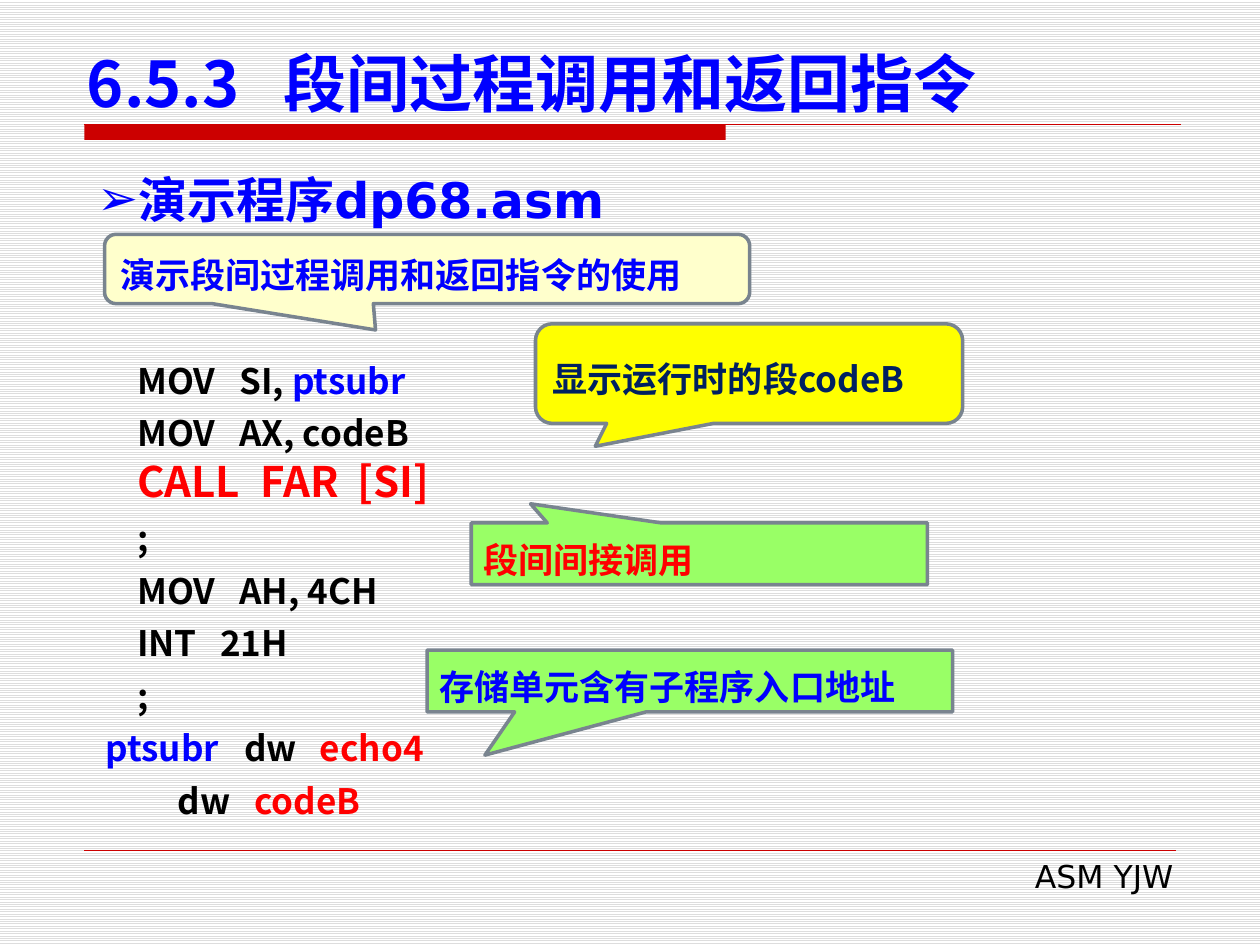
from lxml import etree
from pptx import Presentation
from pptx.dml.color import RGBColor
from pptx.enum.dml import MSO_PATTERN as Pattern
from pptx.enum.shapes import MSO_CONNECTOR as Link, MSO_SHAPE as Shape
from pptx.enum.text import MSO_ANCHOR as Anchor, MSO_AUTO_SIZE as Fit, PP_ALIGN as Align
from pptx.oxml.ns import qn
from pptx.util import Inches, Pt

NOTO, DEJAVU = "Noto Sans CJK SC", "DejaVu Sans"
BLUE, RED, BLACK, NAVY = "0000FF", "FF0000", "000000", "002060"
RULE, EDGE, GREEN = "CC0000", "79848F", "99FF66"


def color(code):
    return RGBColor.from_string(code)


def place(shape, box):
    shape.left, shape.top, shape.width, shape.height = map(Inches, box)


def write(para, text, size=20, font=NOTO, ink=BLACK, bold=True,
          align=Align.LEFT, lead=None):
    """Add one run; lead is the line spacing of its paragraph."""
    run = para.add_run()
    run.text = text
    run.font.size, run.font.name, run.font.bold = Pt(size), font, bold
    run.font.color.rgb = color(ink)
    east = etree.SubElement(run.font._element, qn("a:ea"))
    east.set("typeface", NOTO)
    para.alignment = align
    para.space_before = Pt(0)
    if lead:
        para.line_spacing = lead


def set_tabs(para, stops):
    tabs = etree.SubElement(para._p.get_or_add_pPr(), qn("a:tabLst"))
    for stop in stops:
        tab = etree.SubElement(tabs, qn("a:tab"))
        tab.set("pos", str(Inches(stop)))
        tab.set("algn", "l")


def set_bullet(para, mark, indent):
    props = para._p.get_or_add_pPr()
    props.set("marL", str(Inches(indent)))
    props.set("indent", str(-Inches(indent)))
    etree.SubElement(props, qn("a:buChar")).set("char", mark)


def add_frame(slide, box, anchor=Anchor.TOP):
    frame = slide.shapes.add_textbox(*map(Inches, box)).text_frame
    frame.word_wrap = True
    frame.vertical_anchor = anchor
    return frame


def add_rule(slide, x, y, width, weight):
    line = slide.shapes.add_connector(
        Link.STRAIGHT, Inches(x), Inches(y), Inches(x + width), Inches(y))
    line.line.color.rgb = color(RULE)
    line.line.width = Pt(weight)
    etree.SubElement(line._element.spPr, qn("a:effectLst"))


def add_decor(slide, box):
    """Draw the page pattern, the title bar, the rules and the footer."""
    x, y, width, height = box
    fill = slide.background.fill
    fill.patterned()
    fill.pattern = Pattern.LIGHT_HORIZONTAL
    fill.fore_color.rgb = color("DDDDDD")
    fill.back_color.rgb = color("FFFFFF")
    bar = slide.shapes.add_shape(Shape.RECTANGLE, 0, 0, 0, 0)
    place(bar, (x, y, 5.09, 0.12))
    bar.shadow.inherit = False
    bar.fill.solid()
    bar.fill.fore_color.rgb = color(RULE)
    bar.line.fill.background()
    add_rule(slide, x, y, width, 0.75)
    add_rule(slide, x, y + height, width - 0.04, 0.25)
    foot = add_frame(slide, (x + width - 5.55, y + height, 5.59, 0.4))
    write(foot.paragraphs[0], "ASM YJW", size=18, font=DEJAVU, bold=False,
          align=Align.RIGHT)


def add_title(slide, box):
    title = slide.shapes.title
    place(title, box)
    frame = title.text_frame
    frame.vertical_anchor, frame.auto_size = Anchor.BOTTOM, Fit.NONE
    para = frame.paragraphs[0]
    write(para, "6.5.3\t段间过程调用和返回指令", size=36, ink=BLUE)
    set_tabs(para, [1.56])


def add_topic(slide, box):
    body = slide.placeholders[1]
    place(body, box)
    frame = body.text_frame
    frame.vertical_anchor, frame.auto_size = Anchor.TOP, Fit.NONE
    para = frame.paragraphs[0]
    write(para, "演示程序dp68.asm", size=28, font=DEJAVU, ink=BLUE,
          align=Align.JUSTIFY, lead=1.4)
    set_bullet(para, "➢", 0.33)


def add_code(slide, box, lines):
    """Each line is its tab stops and its runs of (text, format)."""
    frame = add_frame(slide, box)
    for i, (stops, runs) in enumerate(lines):
        para = frame.add_paragraph() if i else frame.paragraphs[0]
        for text, style in runs:
            write(para, text, lead=Pt(30), **style)
        set_tabs(para, stops)


def add_note(slide, box, kind, tip, fill, text, **style):
    """Add a callout whose tip is given as a share of its size."""
    note = slide.shapes.add_shape(kind, *map(Inches, box))
    note.shadow.inherit = False
    note.adjustments[0], note.adjustments[1] = tip
    note.fill.solid()
    note.fill.fore_color.rgb = color(fill)
    note.line.color.rgb = color(EDGE)
    note.line.width = Pt(2)
    frame = note.text_frame
    frame.word_wrap, frame.vertical_anchor = True, Anchor.MIDDLE
    write(frame.paragraphs[0], text, lead=Pt(30), **style)


IN, ARG = 0.25, 1.06
CODE = [
    ([IN, ARG], [("\tMOV\tSI, ", {}), ("ptsubr", {"ink": BLUE})]),
    ([IN, ARG], [("\tMOV\tAX, codeB", {})]),
    ([IN, 1.23, 2], [("\tCALL\tFAR\t[SI]", {"size": 24, "ink": RED})]),
    ([IN], [("\t;", {})]),
    ([IN, ARG], [("\tMOV\tAH, 4CH", {})]),
    ([IN, 0.91], [("\tINT\t21H", {})]),
    ([IN], [("\t;", {})]),
    ([1.1, 1.7], [("ptsubr", {"ink": BLUE}), ("\tdw", {}),
                  ("\techo4", {"ink": RED})]),
    ([0.57, 1.18], [("\tdw", {}), ("\tcodeB", {"ink": RED})]),
]
RECT, ROUND = Shape.RECTANGULAR_CALLOUT, Shape.ROUNDED_RECTANGULAR_CALLOUT
NOTES = [
    ((3.74, 4.15, 3.62, 0.49), RECT, (-0.37, -0.81), GREEN,
     "段间间接调用", {"font": DEJAVU, "ink": RED}),
    ((3.39, 5.16, 4.17, 0.49), RECT, (-0.39, 1.2), GREEN,
     "存储单元含有子程序入口地址", {"font": DEJAVU, "ink": BLUE}),
    ((0.83, 1.86, 5.12, 0.55), ROUND, (-0.08, 0.88), "FFFFCC",
     "演示段间过程调用和返回指令的使用", {"ink": BLUE}),
    ((4.25, 2.57, 3.39, 0.79), ROUND, (-0.36, 0.73), "FFFF00",
     "显示运行时的段codeB", {"ink": NAVY}),
]


def main():
    deck = Presentation()
    deck.slide_width, deck.slide_height = Inches(10), Inches(7.5)
    slide = deck.slides.add_slide(deck.slide_layouts[1])
    add_decor(slide, (0.67, 0.99, 8.7, 5.76))
    add_title(slide, (0.59, 0.29, 9.06, 0.71))
    add_topic(slide, (0.67, 1.11, 8.66, 0.67))
    add_code(slide, (0.74, 2.72, 8.35, 3.89), CODE)
    for box, kind, tip, fill, text, style in NOTES:
        add_note(slide, box, kind, tip, fill, text, **style)
    deck.save("out.pptx")


if __name__ == "__main__":
    main()
